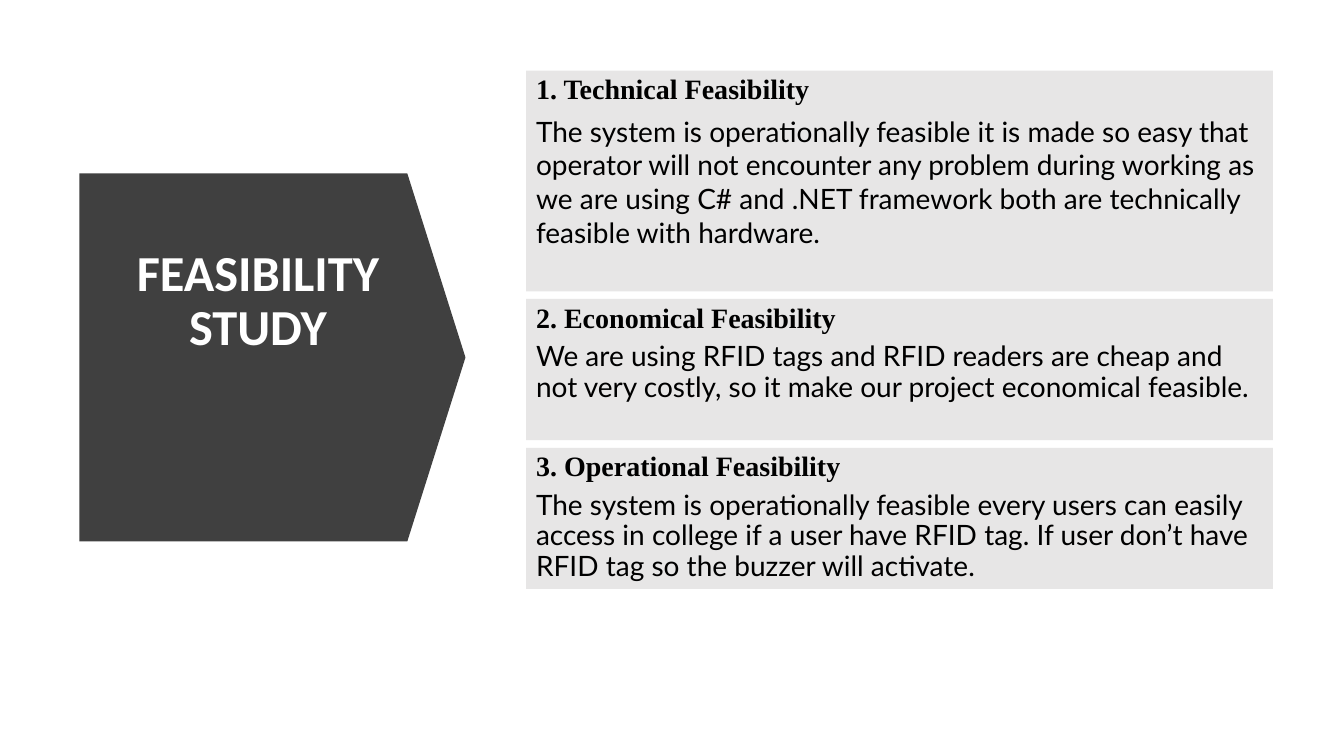
import pptx
import pptx.util
import pptx.dml.color
import pptx.enum.shapes
import pptx.enum.text

Pt = pptx.util.Pt
RGBColor = pptx.dml.color.RGBColor
SHAPE = pptx.enum.shapes.MSO_SHAPE
ALIGN = pptx.enum.text.PP_ALIGN
ANCHOR = pptx.enum.text.MSO_ANCHOR

CHARCOAL = RGBColor(0x40, 0x40, 0x40)
PALE_GREY = RGBColor(0xE7, 0xE6, 0xE6)
BLACK = RGBColor(0, 0, 0)
WHITE = RGBColor(0xFF, 0xFF, 0xFF)

# Heading, body text, panel height, body line spacing
STUDIES = [
    ("1. Technical Feasibility",
     "The system is operationally feasible it is made so easy that operator "
     "will not encounter any problem during working as we are using C# and "
     ".NET framework both are technically feasible with hardware.", 157.7, 1.0),
    ("2. Economical Feasibility",
     "We are using RFID tags and RFID readers are cheap and not very costly, "
     "so it make our project economical feasible.", 100.8, 0.9),
    ("3. Operational Feasibility",
     "The system is operationally feasible every users can easily access in "
     "college if a user have RFID tag. If user don’t have RFID tag so the "
     "buzzer will activate.", 100.8, 0.9),
]


class FeasibilitySlide:
    heading_font = "Times New Roman"
    body_font = "Lato"
    title_font = "Calibri"
    text_size = 20
    title_size = 36

    def __init__(self, deck):
        self.page = deck.slides.add_slide(deck.slide_layouts[6])

    def shape(self, kind, left, top, width, height, fill):
        box = self.page.shapes.add_shape(
            kind, Pt(left), Pt(top), Pt(width), Pt(height))
        box.shadow.inherit = False
        box.fill.solid()
        box.fill.fore_color.rgb = fill
        box.line.fill.background()
        return box

    def set_text(self, para, text, font, size, color, bold=False,
                 align=ALIGN.LEFT, spacing=0.9, after=0):
        para.text = text
        para.alignment = align
        para.line_spacing = spacing
        para.space_after = Pt(after)
        para.font.name = font
        para.font.size = Pt(size)
        para.font.bold = bold
        para.font.color.rgb = color

    def arrow(self, left, top, width, height):
        arrow = self.shape(SHAPE.DOWN_ARROW, left, top, width, height, CHARCOAL)
        arrow.adjustments[0] = 1
        arrow.adjustments[1] = 0.158
        arrow.rotation = 270

    def title(self, text, left, top, width, height):
        box = self.page.shapes.add_textbox(
            Pt(left), Pt(top), Pt(width), Pt(height))
        frame = box.text_frame
        frame.word_wrap = True
        frame.vertical_anchor = ANCHOR.MIDDLE
        frame.margin_bottom = Pt(82)  # lifts the title above the arrow's centre
        self.set_text(frame.paragraphs[0], text, self.title_font,
                      self.title_size, WHITE, bold=True, align=ALIGN.CENTER)

    def panel(self, heading, body, left, top, width, height, spacing):
        box = self.shape(SHAPE.RECTANGLE, left, top, width, height, PALE_GREY)
        frame = box.text_frame
        frame.word_wrap = True
        frame.vertical_anchor = ANCHOR.TOP
        self.set_text(frame.paragraphs[0], heading, self.heading_font,
                      self.text_size, BLACK, bold=True, after=6)
        self.set_text(frame.add_paragraph(), body, self.body_font,
                      self.text_size, BLACK, spacing=spacing, after=6)


def main():
    deck = pptx.Presentation()
    deck.slide_width, deck.slide_height = Pt(960), Pt(540)
    slide = FeasibilitySlide(deck)

    # Arrow behind the title
    slide.arrow(63.2, 117.4, 262.8, 275.8)

    # Stacked panels, equal gaps
    top, gap = 50.4, 5.5
    for heading, body, height, spacing in STUDIES:
        slide.panel(heading, body, 375.8, top, 533.5, height, spacing)
        top += height + gap

    # Title on the arrow
    slide.title("FEASIBILITY STUDY", 80.6, 154.8, 207.4, 200.9)
    deck.save("out.pptx")


if __name__ == "__main__":
    main()
